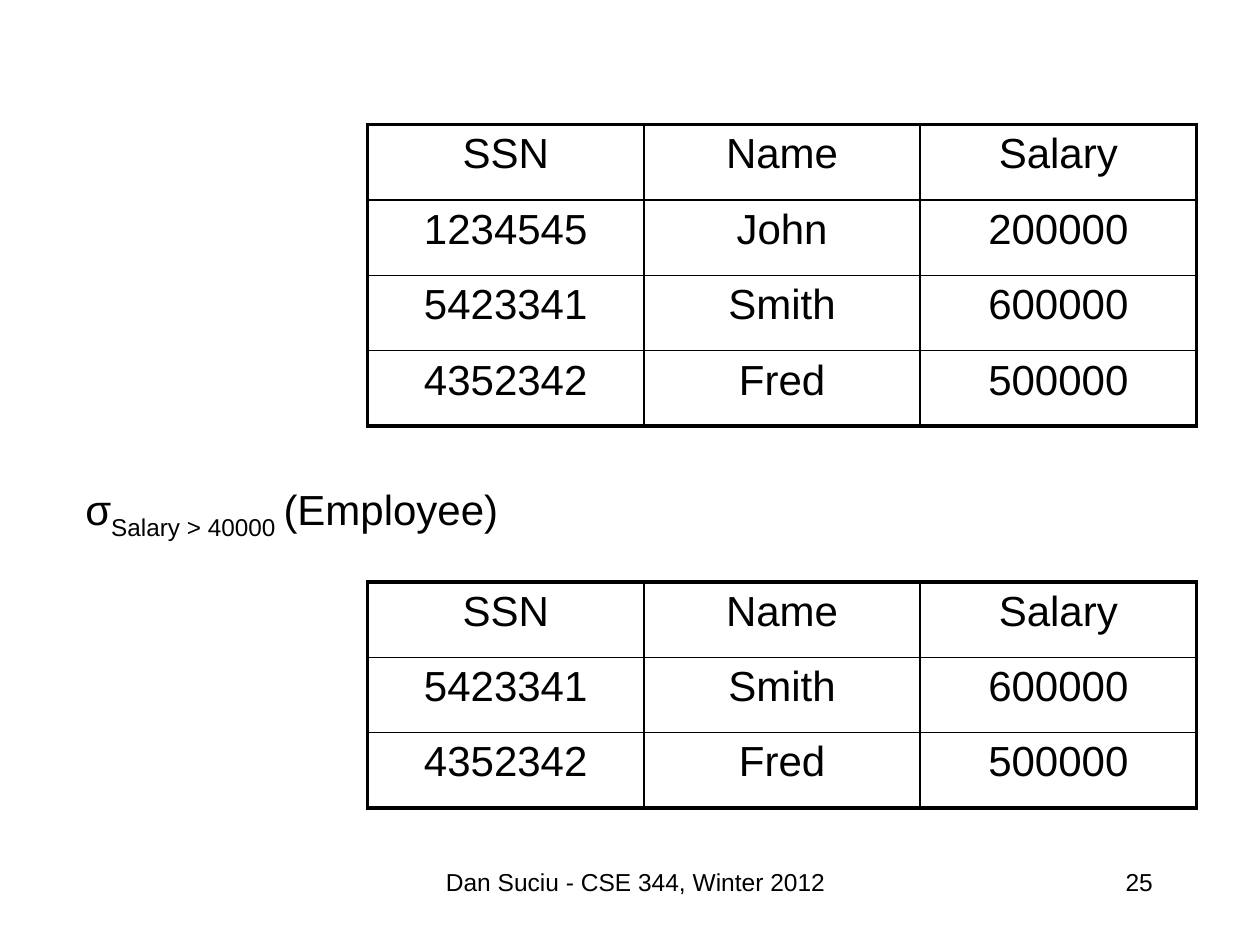
"""Build a slide showing a relational selection on an Employee table."""
from lxml.etree import SubElement
from pptx import Presentation
from pptx.dml.color import RGBColor
from pptx.enum.text import MSO_ANCHOR, PP_ALIGN
from pptx.oxml.ns import qn
from pptx.util import Cm, Pt

HEADER = ("SSN", "Name", "Salary")
JOHN = ("1234545", "John", "200000")
SMITH = ("5423341", "Smith", "600000")
FRED = ("4352342", "Fred", "500000")
RELATIONS = [
    (2.51, [HEADER, JOHN, SMITH, FRED]),
    (11.73, [HEADER, SMITH, FRED]),
]
SELECTION = [("σ", 24, 0), ("Salary > 40000", 24, -25000), (" ", 16, 0), ("(Employee)", 24, 0)]
FOOTER = [("Dan Suciu - CSE 344, Winter 2012", 14, 0)]
PAGE_NUMBER = [("25", 14, 0)]
LABELS = [
    ((1.47, 9.63, 9.32, 1.27), PP_ALIGN.LEFT, False, SELECTION),
    ((8.05, 17.35, 9.53, 1.27), PP_ALIGN.CENTER, True, FOOTER),
    ((18.21, 17.35, 5.28, 1.27), PP_ALIGN.RIGHT, True, PAGE_NUMBER),
]

BLACK = RGBColor(0, 0, 0)
FONT = "Arial"
TABLE_LEFT, COLUMN_WIDTH, ROW_HEIGHT = 7.41, 5.57, 1.52
OUTER, INNER = Pt(2.25), Pt(1)


def style_font(font, size):
    font.name = FONT
    font.size = Pt(size)
    font.bold = False
    font.color.rgb = BLACK


def add_border(cell, side, width):
    line = SubElement(cell._tc.get_or_add_tcPr(), qn(f"a:ln{side}"), w=str(width))
    fill = SubElement(line, qn("a:solidFill"))
    SubElement(fill, qn("a:srgbClr"), val=str(BLACK))


def add_relation(slide, top, rows):
    row_count, column_count = len(rows), len(rows[0])
    table = slide.shapes.add_table(
        row_count, column_count, Cm(TABLE_LEFT), Cm(top),
        Cm(COLUMN_WIDTH * column_count), Cm(ROW_HEIGHT * row_count)).table
    table.first_row = table.horz_banding = False
    for r, row in enumerate(rows):
        for c, value in enumerate(row):
            cell = table.cell(r, c)
            edges = {"L": c == 0, "R": c == column_count - 1,
                     "T": r == 0, "B": r == row_count - 1}
            for side, is_outer in edges.items():
                add_border(cell, side, OUTER if is_outer else INNER)
            cell.fill.background()
            cell.text_frame.text = value
            paragraph = cell.text_frame.paragraphs[0]
            paragraph.alignment = PP_ALIGN.CENTER
            style_font(paragraph.runs[0].font, 24)


def add_label(slide, box, alignment, wrap, pieces):
    frame = slide.shapes.add_textbox(*map(Cm, box)).text_frame
    frame.word_wrap = wrap
    frame.vertical_anchor = MSO_ANCHOR.TOP
    paragraph = frame.paragraphs[0]
    paragraph.alignment = alignment
    for text, size, baseline in pieces:
        run = paragraph.add_run()
        run.text = text
        style_font(run.font, size)
        if baseline:
            run._r.get_or_add_rPr().set("baseline", str(baseline))


def main():
    presentation = Presentation()
    presentation.slide_width, presentation.slide_height = Cm(25.4), Cm(19.05)
    slide = presentation.slides.add_slide(presentation.slide_layouts[6])
    for top, rows in RELATIONS:
        add_relation(slide, top, rows)
    for label in LABELS:
        add_label(slide, *label)
    presentation.save("out.pptx")


if __name__ == "__main__":
    main()
